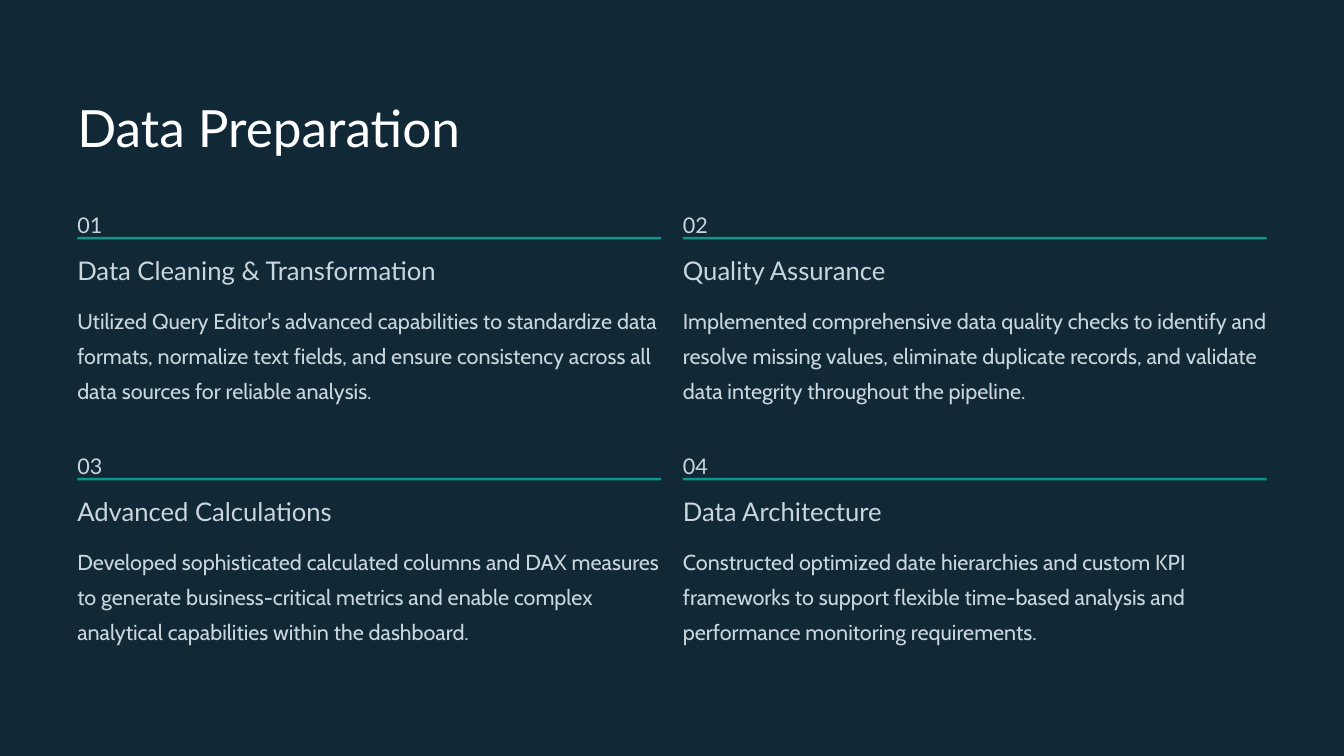
import pptx
import pptx.dml.color
import pptx.enum.shapes
import pptx.util

Inches = pptx.util.Inches
Pt = pptx.util.Pt

COLORS = {"background": "112836", "title": "FFFFFF", "text": "CAD6DE", "rule": "0A988B"}

SLIDE_WIDTH, SLIDE_HEIGHT = 16, 9
LEFT, TOP = 0.92, 2.41
COLUMN_STEP, ROW_STEP = 7.21, 2.87
CARD_WIDTH = 6.95

# Heading, heading width, body
CARDS = [
    ("Data Cleaning & Transformation", 5.92,
     "Utilized Query Editor's advanced capabilities to standardize data formats, "
     "normalize text fields, and ensure consistency across all data sources for "
     "reliable analysis."),
    ("Quality Assurance", 3.35,
     "Implemented comprehensive data quality checks to identify and resolve missing "
     "values, eliminate duplicate records, and validate data integrity throughout "
     "the pipeline."),
    ("Advanced Calculations", 4.27,
     "Developed sophisticated calculated columns and DAX measures to generate "
     "business-critical metrics and enable complex analytical capabilities within "
     "the dashboard."),
    ("Data Architecture", 3.32,
     "Constructed optimized date hierarchies and custom KPI frameworks to support "
     "flexible time-based analysis and performance monitoring requirements."),
]


def add_text(s, text, x, y, w, h, *, size=18.5, font="Lato", color="text",
             spacing=30, wrap=False):
    sp = s.shapes.add_textbox(Inches(x), Inches(y), Inches(w), Inches(h))
    tf = sp.text_frame
    tf.word_wrap = wrap
    tf.margin_left = tf.margin_top = tf.margin_right = tf.margin_bottom = 0
    p = tf.paragraphs[0]
    p.line_spacing = Pt(spacing)
    r = p.add_run()
    r.text = text
    r.font.size = Pt(size)
    r.font.name = font
    r.font.color.rgb = pptx.dml.color.RGBColor.from_string(COLORS[color])


def add_rect(s, x, y, w, h, color):
    sp = s.shapes.add_shape(pptx.enum.shapes.MSO_SHAPE.RECTANGLE,
                            Inches(x), Inches(y), Inches(w), Inches(h))
    sp.shadow.inherit = False
    sp.fill.solid()
    sp.fill.fore_color.rgb = pptx.dml.color.RGBColor.from_string(COLORS[color])
    sp.line.fill.background()


def add_card(s, index, heading, heading_width, body):
    row, column = divmod(index, 2)
    x = LEFT + column * COLUMN_STEP
    y = TOP + row * ROW_STEP
    add_text(s, f"{index + 1:02d}", x, y, 0.32, 0.33)
    add_rect(s, x, y + 0.41, CARD_WIDTH, 0.03, "rule")
    add_text(s, heading, x, y + 0.61, heading_width, 0.38, size=22, spacing=27.5)
    add_text(s, body, x, y + 1.15, CARD_WIDTH, 1.26, font="Cabin", wrap=True)


def main():
    prs = pptx.Presentation()
    prs.slide_width, prs.slide_height = Inches(SLIDE_WIDTH), Inches(SLIDE_HEIGHT)
    s = prs.slides.add_slide(prs.slide_layouts[6])

    # Backdrop
    add_rect(s, 0, 0, SLIDE_WIDTH, SLIDE_HEIGHT, "background")

    # Title
    add_text(s, "Data Preparation", LEFT, 1.12, 6.42, 0.77,
             size=44, color="title", spacing=55)

    # Two by two grid of numbered cards
    for index, card in enumerate(CARDS):
        add_card(s, index, *card)

    prs.save("out.pptx")


if __name__ == "__main__":
    main()
